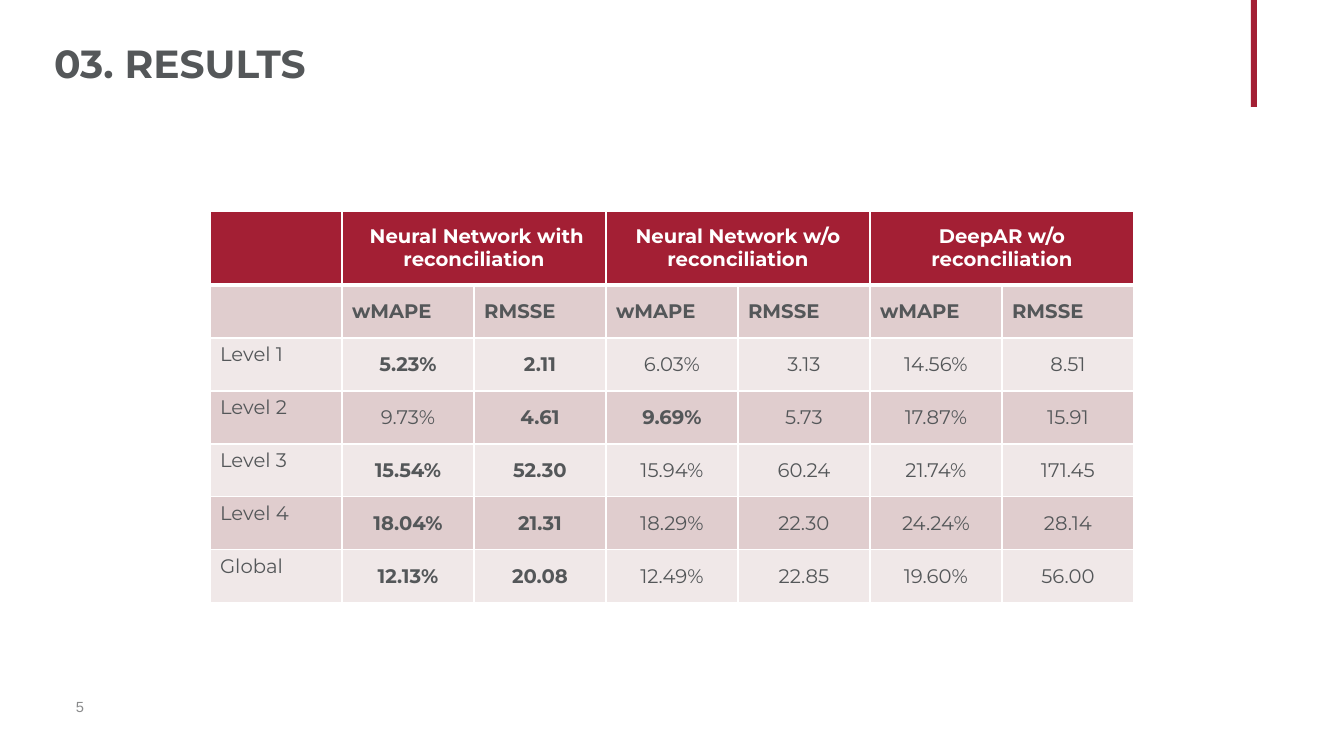
from pptx import Presentation
from pptx import util as u
from pptx.dml.color import RGBColor
from pptx.enum import shapes, text
from pptx.oxml import parse_xml
from pptx.oxml.ns import nsdecls

RED, GREY, WHITE = "A31F34", "545759", "FFFFFF"
PALE_GREY, DARK_BAND, LIGHT_BAND = "8A8B8C", "E0CDCE", "F0E8E8"

MODELS = [" Neural Network with reconciliation",
          "Neural Network w/o reconciliation",
          "DeepAR w/o reconciliation"]
METRICS = ["wMAPE", "RMSSE"]
RESULTS = [
    ["Level 1", "5.23%", "2.11", "6.03%", "3.13", "14.56%", "8.51"],
    ["Level 2", "9.73%", "4.61", "9.69%", "5.73", "17.87%", "15.91"],
    ["Level 3", "15.54%", "52.30", "15.94%", "60.24", "21.74%", "171.45"],
    ["Level 4", "18.04%", "21.31", "18.29%", "22.30", "24.24%", "28.14"],
    ["Global", "12.13%", "20.08", "12.49%", "22.85", "19.60%", "56.00"],
]


def px(count):
    return u.Emu(round(count * 914400 / 100.8))


def rgb(value):
    return RGBColor.from_string(value)


def is_best(row, column):
    """The lowest value of a metric among the models."""
    rivals = row[2 - column % 2::2]
    return row[column] == min(rivals, key=lambda value: float(value.rstrip("%")))


class SlideBuilder:
    font = "Montserrat"

    def __init__(self, deck, layout):
        self.page = deck.slides.add_slide(deck.slide_layouts[layout])

    def set_text(self, frame, words, size, color, bold=False, align="LEFT", font=None):
        frame.text = words
        para = frame.paragraphs[0]
        para.alignment = text.PP_ALIGN[align]
        for span in para.runs:
            span.font.name = font or self.font
            span.font.size = u.Pt(size)
            span.font.bold = bold
            span.font.color.rgb = rgb(color)

    def place(self, box, area, right_inset):
        box.left, box.top, box.width, box.height = map(px, area)
        frame = box.text_frame
        frame.word_wrap = True
        frame.auto_size = text.MSO_AUTO_SIZE.NONE
        frame.vertical_anchor = text.MSO_ANCHOR.MIDDLE
        frame.margin_left, frame.margin_right = 0, px(right_inset)
        frame.margin_top = frame.margin_bottom = px(5)
        return frame

    def title(self, words, area):
        frame = self.place(self.page.shapes.title, area, 10)
        self.set_text(frame, words, 28, GREY, bold=True)

    def label(self, words, area, size, color, font):
        box = self.page.shapes.add_textbox(*map(px, area))
        self.set_text(self.place(box, area, 0), words, size, color, font=font)

    def bar(self, area, color):
        bar = self.page.shapes.add_shape(shapes.MSO_SHAPE.RECTANGLE, *map(px, area))
        bar.shadow.inherit = False
        bar.fill.solid()
        bar.fill.fore_color.rgb = rgb(color)
        bar.line.fill.background()

    def table(self, left, top, column_widths, row_heights):
        frame = self.page.shapes.add_table(
            len(row_heights), len(column_widths), px(left), px(top),
            px(sum(column_widths)), px(sum(row_heights)))
        for column, width in zip(frame.table.columns, column_widths):
            column.width = px(width)
        for row, height in zip(frame.table.rows, row_heights):
            row.height = px(height)
        return frame.table

    def cell(self, cell, fill, words="", color=GREY, bold=False, align="LEFT",
             anchor="MIDDLE", top_line=1, bottom_line=1):
        cell.vertical_anchor = text.MSO_ANCHOR[anchor]
        properties = cell._tc.get_or_add_tcPr()
        for side, width in zip("LRTB", (1, 1, top_line, bottom_line)):
            properties.append(parse_xml(
                f'<a:ln{side} {nsdecls("a")} w="{u.Pt(width)}"><a:solidFill>'
                f'<a:srgbClr val="{WHITE}"/></a:solidFill></a:ln{side}>'))
        cell.fill.solid()
        cell.fill.fore_color.rgb = rgb(fill)
        if words:
            self.set_text(cell.text_frame, words, 14, color, bold, align)


def main():
    deck = Presentation()
    deck.slide_width, deck.slide_height = px(1344), px(756)
    slide = SlideBuilder(deck, 5)

    # Accent bar, page number and title
    slide.bar((1251, 0, 6, 107), RED)
    slide.label("5", (76, 687, 27, 40), 10.5, PALE_GREY, "Arial")
    slide.title("03. RESULTS", (54, 0, 990, 125))

    # Header row: one merged pair of columns per model
    table = slide.table(210, 211, [132] * 7, [74] + [53] * 6)
    headings = [""]
    for model in MODELS:
        headings += [model, ""]
    for column, words in enumerate(headings):
        slide.cell(table.cell(0, column), RED, words, WHITE, bold=True,
                   align="CENTER", bottom_line=3)
    for column in range(1, 7, 2):
        table.cell(0, column).merge(table.cell(0, column + 1))

    # Metric names
    for column, words in enumerate([""] + METRICS * len(MODELS)):
        slide.cell(table.cell(1, column), DARK_BAND, words, bold=True, top_line=3)

    # Results, with the best value of each metric in bold
    for index, row in enumerate(RESULTS):
        band = DARK_BAND if index % 2 else LIGHT_BAND
        slide.cell(table.cell(index + 2, 0), band, row[0], anchor="TOP")
        for column in range(1, len(row)):
            slide.cell(table.cell(index + 2, column), band, row[column],
                       bold=is_best(row, column), align="CENTER")

    deck.save("out.pptx")


if __name__ == "__main__":
    main()
